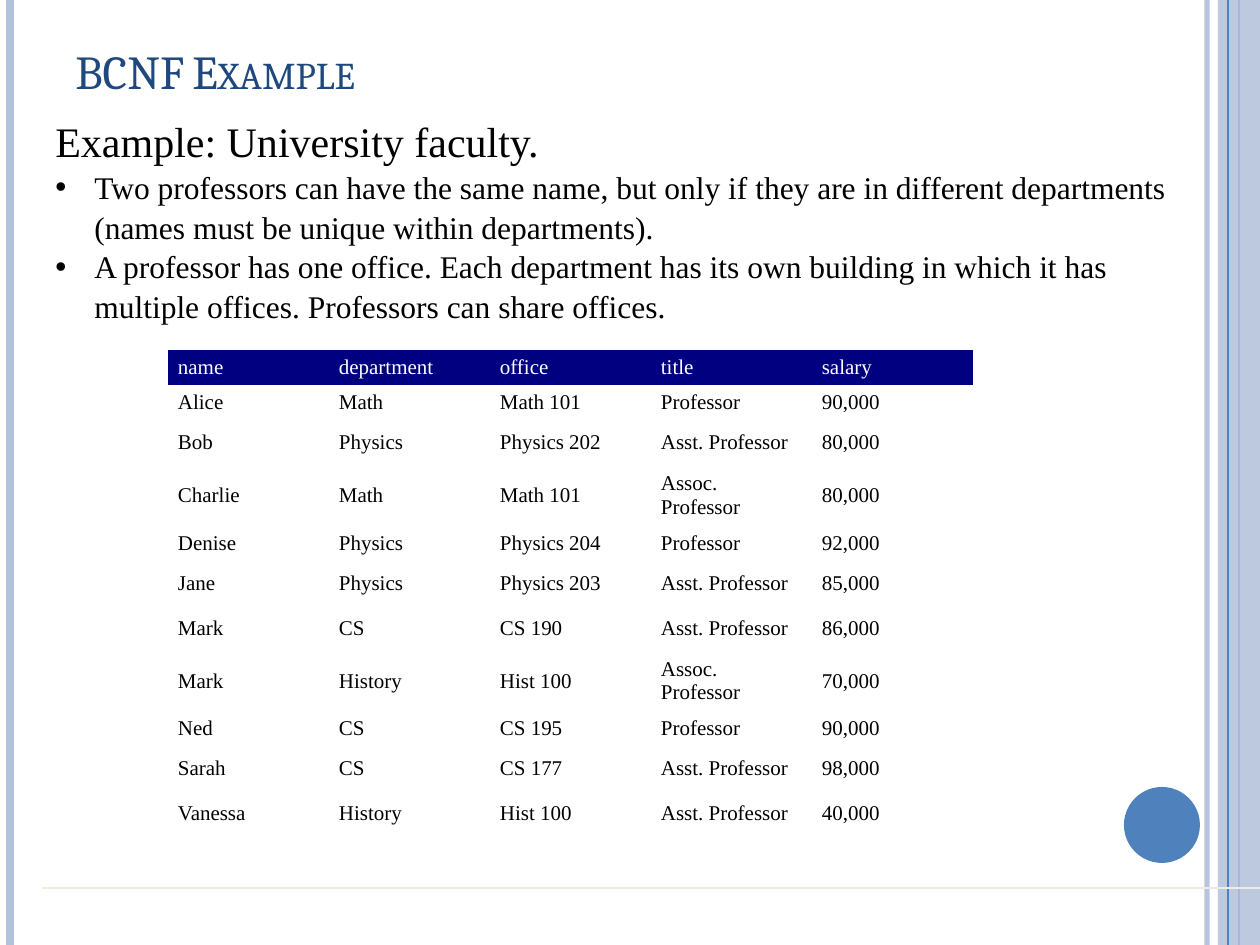
"""Build the BCNF example slide with its university faculty table."""
import pptx
import pptx.dml.color
import pptx.enum.shapes
import pptx.enum.text
import pptx.oxml
import pptx.oxml.ns
import pptx.util
import lxml.etree

PX = 914400 // 126
SERIF = "Times New Roman"
qn = pptx.oxml.ns.qn
Pt = pptx.util.Pt


def paint(target, color, alpha=100):
    target.solid()
    target.fore_color.rgb = pptx.dml.color.RGBColor.from_string(color)
    if alpha < 100:
        tint = target._xPr.find(".//" + qn("a:srgbClr"))
        lxml.etree.SubElement(tint, qn("a:alpha"), val=str(alpha * 1000))


def write(para, text, size, font, color):
    run = para.add_run()
    run.text = text
    run.font.size = Pt(size)
    run.font.name = font
    paint(run.font.fill, color)
    return run


deck = pptx.Presentation()
deck.slide_width, deck.slide_height = 1260 * PX, 945 * PX
slide = deck.slides.add_slide(deck.slide_layouts[6])
shapes = slide.shapes
paint(slide.background.fill, "FFFFFF")

rules = [
    (1207, 0, 1207, 945, "B3C1DB", 3, 93),
    (10, 0, 10, 945, "B3C1DB", 4.5, 100),
    (1239, 0, 1239, 945, "4F81BD", 1.5, 100),
    (1228, 0, 1228, 945, "4F81BD", 0.75, 100),
    (1260, 888, 42, 888, "EEECE1", 0.75, 100),
]
lines = []
for x1, y1, x2, y2, color, width, alpha in rules:
    line = shapes.add_connector(
        pptx.enum.shapes.MSO_CONNECTOR.STRAIGHT, x1 * PX, y1 * PX, x2 * PX, y2 * PX
    )
    line.line.width = Pt(width)
    paint(line.line.fill, color, alpha)
    lxml.etree.SubElement(line._element.spPr, qn("a:effectLst"))
    lines.append(line)

kinds = pptx.enum.shapes.MSO_SHAPE
marks = [
    (kinds.RECTANGLE, 1218, 0, 42, 945, "B3C1DB", 87),
    (kinds.OVAL, 1124, 787, 76, 76, "4F81BD", 100),
]
for kind, x, y, w, h, color, alpha in marks:
    mark = shapes.add_shape(kind, x * PX, y * PX, w * PX, h * PX)
    mark.shadow.inherit = False
    paint(mark.fill, color, alpha)
    mark.line.fill.background()
    if kind == kinds.RECTANGLE:
        lines[2]._element.addnext(mark._element)

title = shapes.add_textbox(63 * PX, 38 * PX, 1029 * PX, 67 * PX)
title.text_frame.word_wrap = True
title.text_frame.vertical_anchor = pptx.enum.text.MSO_ANCHOR.BOTTOM
head = write(title.text_frame.paragraphs[0], "BCNF Example", 27, "Cambria", "1F497D")
head.font._element.set("cap", "small")

body = shapes.add_textbox(43 * PX, 107 * PX, 1139 * PX, 217 * PX)
frame = body.text_frame
frame.word_wrap = True
first = frame.paragraphs[0]
first.line_spacing = 1.05
write(first, "Example: University faculty.", 24, SERIF, "000000")
points = [
    "Two professors can have the same name, but only if they are in different "
    "departments (names must be unique within departments).",
    "A professor has one office. Each department has its own building in which "
    "it has multiple offices. Professors can share offices.",
]
for point in points:
    para = frame.add_paragraph()
    para.line_spacing = 1.05
    props = para._p.get_or_add_pPr()
    props.set("marL", str(39 * PX))
    props.set("indent", str(-39 * PX))
    lxml.etree.SubElement(props, qn("a:buFont"), typeface="Arial")
    lxml.etree.SubElement(props, qn("a:buChar"), char="•")
    write(para, point, 18, SERIF, "000000")

staff = [
    ("name", "department", "office", "title", "salary"),
    ("Alice", "Math", "Math 101", "Professor", "90,000"),
    ("Bob", "Physics", "Physics 202", "Asst. Professor", "80,000"),
    ("Charlie", "Math", "Math 101", "Assoc. Professor", "80,000"),
    ("Denise", "Physics", "Physics 204", "Professor", "92,000"),
    ("Jane", "Physics", "Physics 203", "Asst. Professor", "85,000"),
    ("Mark", "CS", "CS 190", "Asst. Professor", "86,000"),
    ("Mark", "History", "Hist 100", "Assoc. Professor", "70,000"),
    ("Ned", "CS", "CS 195", "Professor", "90,000"),
    ("Sarah", "CS", "CS 177", "Asst. Professor", "98,000"),
    ("Vanessa", "History", "Hist 100", "Asst. Professor", "40,000"),
]
grid = shapes.add_table(len(staff), 5, 168 * PX, 350 * PX, 805 * PX, 567 * PX)
table = grid.table
table.horz_banding = False
style = table._tbl.tblPr.find(qn("a:tableStyleId"))
style.text = "{2D5ABB26-0587-4C30-8999-92F81FD0307C}"
for col in table.columns:
    col.width = 161 * PX
for i, row in enumerate(staff):
    table.rows[i].height = (45 if "Ass" in row[3] else 26) * PX
    for j, text in enumerate(row):
        cell = table.cell(i, j)
        cell.vertical_anchor = pptx.enum.text.MSO_ANCHOR.MIDDLE
        cell.margin_left, cell.margin_right = 10 * PX, 12 * PX
        cell.margin_top = cell.margin_bottom = 5 * PX
        if i == 0:
            paint(cell.fill, "000080")
        else:
            cell.fill.background()
        color = "000000" if i else "FFFFFF"
        write(cell.text_frame.paragraphs[0], text, 12, SERIF, color)
grid.height = 567 * PX

deck.save("out.pptx")
